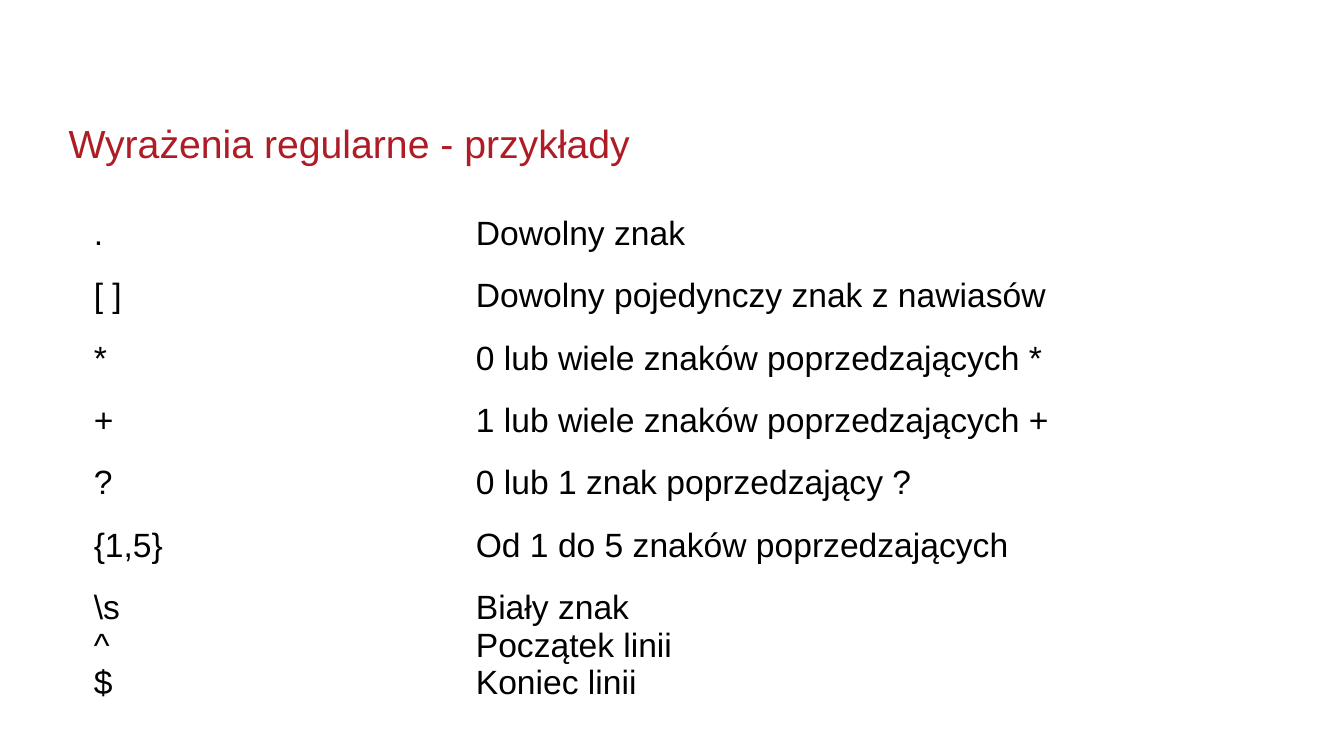
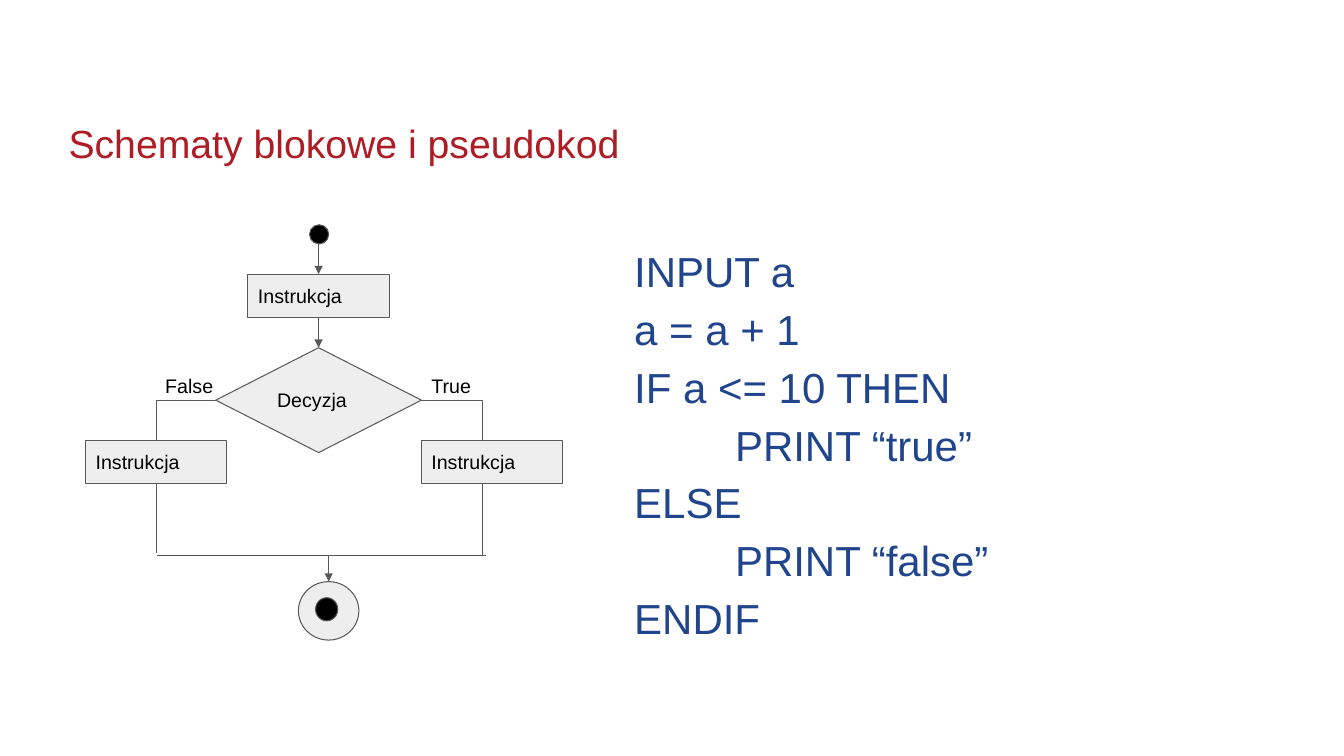
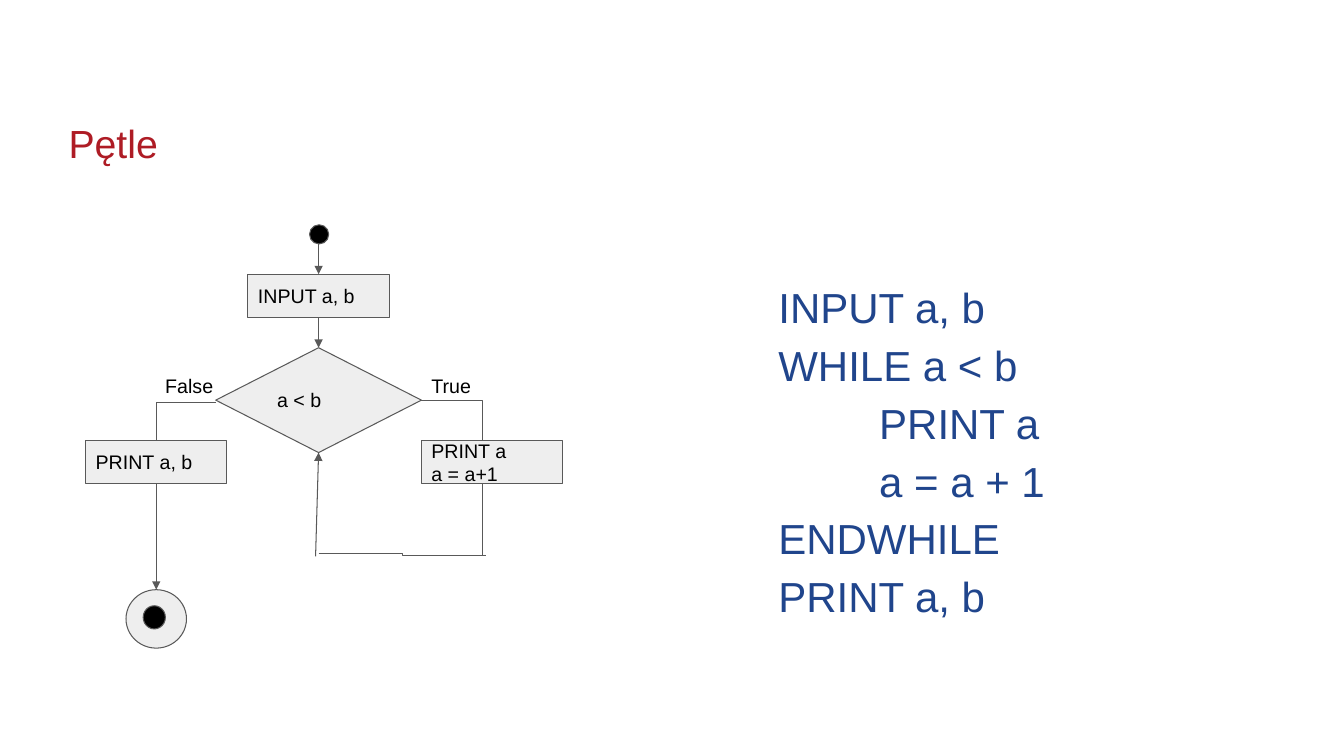
"""Build three slides on regular expressions, flowcharts and loops."""
from lxml import etree
from pptx import Presentation
from pptx.dml.color import RGBColor
from pptx.enum import shapes, text
from pptx.oxml.ns import qn
from pptx.util import Inches, Pt

RED = RGBColor(0xAE, 0x1C, 0x25)
BLUE = RGBColor(0x20, 0x45, 0x8C)
BLACK = RGBColor(0, 0, 0)
GRAY = RGBColor(0x59, 0x59, 0x59)
LIGHT = RGBColor(0xEE, 0xEE, 0xEE)
FONT = "Arial"

TITLE_BOX = (0.58, 0.9, 11.67, 1.04)
TABLE_AT = (0.83, 2.08)
COLUMNS = (3.79, 7.62)
ROW_HEIGHT = 0.62
BOX_SIZE = (1.4, 0.43)
CENTER = 3.16
LEFT, RIGHT = 1.55, 4.79
BRANCH_TOP = 4.37
SIDE_Y, JOIN_Y = 3.97, 5.51

PATTERNS = [
    (".", "Dowolny znak"),
    ("[ ]", "Dowolny pojedynczy znak z nawiasów"),
    ("*", "0 lub wiele znaków poprzedzających *"),
    ("+", "1 lub wiele znaków poprzedzających +"),
    ("?", "0 lub 1 znak poprzedzający ?"),
    ("{1,5}", "Od 1 do 5 znaków poprzedzających"),
    ("\\s\n^\n$", "Biały znak\nPoczątek linii\nKoniec linii"),
]

CONDITION = {
    "title": "Schematy blokowe i pseudokod",
    "code_box": (5.69, 2.08, 6.98, 4.58),
    "code": [(0, "INPUT a"), (0, "a = a + 1"), (0, "IF a <= 10 THEN"),
             (1, "PRINT “true”"), (0, "ELSE"), (1, "PRINT “false”"), (0, "ENDIF")],
    "steps": ("Instrukcja", "Decyzja", "Instrukcja", "Instrukcja"),
    "false_route": ((2.14, SIDE_Y), (LEFT, 5.49)),
    "end_at": (2.96, 5.77),
}
LOOP = {
    "title": "Pętle",
    "code_box": (7.12, 2.15, 4.02, 4.58),
    "code": [(0, "INPUT a, b"), (0, "WHILE a < b"), (1, "PRINT a"),
             (1, "a = a + 1"), (0, "ENDWHILE"), (0, "PRINT a, b")],
    "steps": ("INPUT a, b", "a < b", "PRINT a, b", "PRINT a\na = a+1"),
    "false_route": ((2.14, 3.99), (LEFT, BRANCH_TOP)),
    "end_at": (1.25, 5.85),
}


def inches(values):
    return [Inches(value) for value in values]


def style_text(frame, size, color, anchor=text.MSO_ANCHOR.MIDDLE):
    frame.word_wrap = True
    frame.auto_size = text.MSO_AUTO_SIZE.NONE
    frame.vertical_anchor = anchor
    frame.margin_left = frame.margin_right = Inches(0.1)
    frame.margin_top = frame.margin_bottom = Inches(0.1)
    style_runs(frame, size, color)


def style_runs(frame, size, color):
    for paragraph in frame.paragraphs:
        paragraph.alignment = text.PP_ALIGN.LEFT
        for run in paragraph.runs:
            run.font.name, run.font.size = FONT, Pt(size)
            run.font.color.rgb = color


def move(placeholder, box):
    (placeholder.left, placeholder.top,
     placeholder.width, placeholder.height) = inches(box)


def new_slide(deck, layout, heading):
    slide = deck.slides.add_slide(deck.slide_layouts[layout])
    title = slide.shapes.title
    move(title, TITLE_BOX)
    title.text_frame.text = heading
    style_text(title.text_frame, 28, RED)
    return slide


def add_patterns(slide):
    size = (sum(COLUMNS), ROW_HEIGHT * len(PATTERNS))
    table = slide.shapes.add_table(
        len(PATTERNS), len(COLUMNS), *inches(TABLE_AT + size)).table
    table.first_row = table.horz_banding = False
    for column, width in zip(table.columns, COLUMNS):
        column.width = Inches(width)
    for row, pattern in zip(table.rows, PATTERNS):
        for cell, words in zip(row.cells, pattern):
            cell.fill.background()
            cell.text_frame.text = words
            style_runs(cell.text_frame, 24, BLACK)


def add_code(slide, box, lines):
    body = slide.placeholders[1]
    move(body, box)
    frame = body.text_frame
    frame.text = "\n".join(line for _, line in lines)
    style_text(frame, 30, BLUE)
    for paragraph, (depth, _) in zip(frame.paragraphs, lines):
        paragraph.line_spacing = 1.15
        paragraph.space_before = Pt(0)
        properties = paragraph._p.get_or_add_pPr()
        properties.set("marL", str(Inches(0.5 + depth)))
        properties.set("indent", "0")
        etree.SubElement(properties, qn("a:buNone"))


def add_node(slide, kind, box, fill, words=""):
    node = slide.shapes.add_shape(kind, *inches(box))
    node.shadow.inherit = False
    node.fill.solid()
    node.fill.fore_color.rgb = fill
    node.line.color.rgb, node.line.width = GRAY, Pt(0.75)
    if words:
        node.text_frame.text = words
        style_text(node.text_frame, 14, BLACK)
    return node


def add_line(slide, start, end, preset="line", arrow=False):
    kind = (shapes.MSO_CONNECTOR.STRAIGHT if preset == "line"
            else shapes.MSO_CONNECTOR.ELBOW)
    link = slide.shapes.add_connector(kind, *inches(start + end))
    link.line.color.rgb, link.line.width = GRAY, Pt(0.75)
    properties = link._element.spPr
    properties.find(qn("a:prstGeom")).set("prst", preset)
    if arrow:
        etree.SubElement(properties.find(qn("a:ln")), qn("a:tailEnd"), type="triangle")
    etree.SubElement(properties, qn("a:effectLst"))
    return link


def add_flowchart(slide, chart):
    first, question, if_false, if_true = chart["steps"]
    oval, box = shapes.MSO_SHAPE.OVAL, shapes.MSO_SHAPE.RECTANGLE

    add_line(slide, (4.18, SIDE_Y), (RIGHT, 5.52), "bentConnector2")
    add_line(slide, *chart["false_route"], "bentConnector2")

    add_node(slide, oval, (3.07, 2.23, 0.19, 0.19), BLACK)
    opening = add_node(slide, box, (2.46, 2.72) + BOX_SIZE, LIGHT, first)
    decision = add_node(slide, shapes.MSO_SHAPE.DIAMOND,
                        (2.14, 3.45, 2.04, 1.04), LIGHT, question)
    false_step = add_node(slide, box, (0.85, BRANCH_TOP) + BOX_SIZE, LIGHT, if_false)
    add_node(slide, box, (4.18, BRANCH_TOP) + BOX_SIZE, LIGHT, if_true)

    end_x, end_y = chart["end_at"]
    finish = add_node(slide, oval, (end_x, end_y, 0.6, 0.58), LIGHT)
    add_node(slide, oval, (end_x + 0.17, end_y + 0.16, 0.22, 0.23), BLACK)

    add_line(slide, (CENTER, 2.42), (CENTER, 2.72), arrow=True).end_connect(opening, 0)
    to_decision = add_line(slide, (CENTER, 3.15), (CENTER, 3.45), arrow=True)
    to_decision.begin_connect(opening, 2)
    to_decision.end_connect(decision, 0)

    for answer, left, width in (("True", 4.18, 0.6), ("False", 1.54, 0.71)):
        label = slide.shapes.add_textbox(*inches((left, 3.61, width, 1.08)))
        label.text_frame.text = answer
        style_text(label.text_frame, 14, BLACK, text.MSO_ANCHOR.TOP)
    return decision, false_step, finish


def add_example(deck, chart):
    slide = new_slide(deck, 1, chart["title"])
    add_code(slide, chart["code_box"], chart["code"])
    return slide, add_flowchart(slide, chart)


def main():
    deck = Presentation()
    deck.slide_width, deck.slide_height = inches((13.33, 7.5))

    add_patterns(new_slide(deck, 5, "Wyrażenia regularne - przykłady"))

    slide, (_, _, finish) = add_example(deck, CONDITION)
    add_line(slide, (1.56, JOIN_Y), (4.82, JOIN_Y))
    add_line(slide, (3.26, JOIN_Y), (3.26, 5.77), arrow=True).end_connect(finish, 0)

    slide, (decision, false_step, finish) = add_example(deck, LOOP)
    add_line(slide, (CENTER, 5.49), (4.82, JOIN_Y), "bentConnector3")
    add_line(slide, (3.13, 5.52), (CENTER, 4.49), arrow=True).end_connect(decision, 2)
    to_finish = add_line(slide, (LEFT, 4.8), (LEFT, 5.85), arrow=True)
    to_finish.begin_connect(false_step, 2)
    to_finish.end_connect(finish, 0)

    deck.save("out.pptx")


if __name__ == "__main__":
    main()
